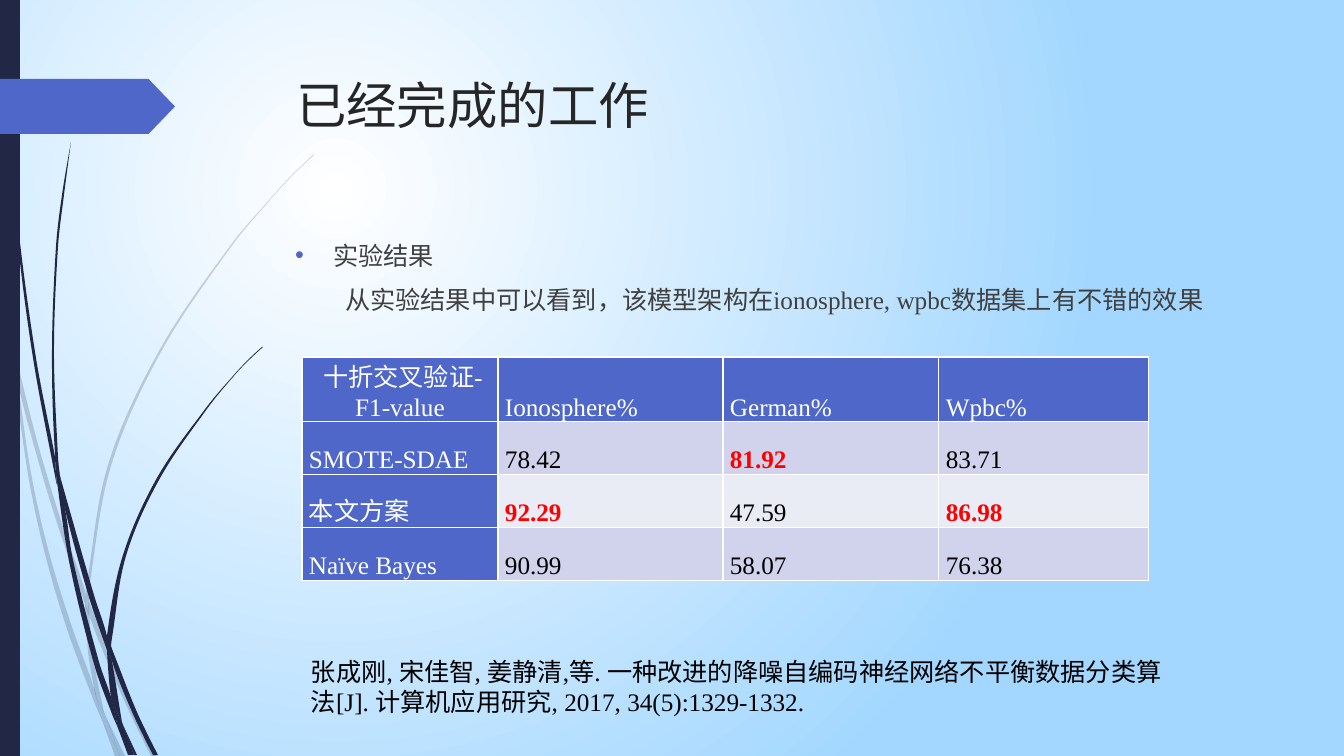
from math import hypot

from lxml.etree import SubElement
from pptx import Presentation
from pptx.dml.color import RGBColor
from pptx.enum.shapes import MSO_SHAPE as Shape
from pptx.enum.text import MSO_ANCHOR as Anchor, MSO_AUTO_SIZE as AutoSize, PP_ALIGN as Align
from pptx.oxml.ns import qn
from pptx.util import Pt

WIDTH, HEIGHT = 1344, 756
SCALE = 12192000 / WIDTH
FONT = "Times New Roman"

WHITE = RGBColor(0xFF, 0xFF, 0xFF)
BLACK = RGBColor(0x00, 0x00, 0x00)
RED = RGBColor(0xFF, 0x00, 0x00)
SKY = RGBColor(0xA3, 0xD7, 0xFF)
NAVY = RGBColor(0x21, 0x27, 0x45)
BLUE = RGBColor(0x4E, 0x67, 0xC8)
TITLE_GREY = RGBColor(0x26, 0x26, 0x26)
BODY_GREY = RGBColor(0x40, 0x40, 0x40)
BANDS = [RGBColor(0xD0, 0xD3, 0xEB), RGBColor(0xE9, 0xEB, 0xF5)]

# Outlines of the grass blades, piece by piece.
PALE_BLADES = [
    [(11, 353), (9, 325), (0, 284), (0, 301), (10, 347)],
    [(58, 526), (85, 604), (85, 591), (62, 524), (36, 437), (14, 348), (17, 379), (36, 453)],
    [(93, 612), (89, 601), (89, 615), (124, 700), (151, 756), (156, 756), (128, 698)],
    [(120, 756), (125, 756), (106, 717)],
    [(94, 688), (71, 624), (48, 549), (31, 473), (17, 379), (11, 353), (28, 474), (44, 550),
     (66, 626), (93, 699), (102, 720), (100, 713)],
    [(85, 604), (88, 651), (94, 688), (97, 698), (106, 717), (104, 712), (92, 651), (89, 615)],
    [(89, 589), (111, 466), (161, 352), (231, 247), (270, 200), (292, 176), (314, 155),
     (314, 154), (291, 176), (270, 199), (230, 246), (159, 351), (108, 465), (86, 589),
     (86, 591), (89, 601)],
    [(102, 720), (115, 756), (120, 756)],
    [(89, 615), (89, 601), (86, 591), (85, 604)],
    [(97, 698), (94, 688), (100, 713), (102, 720), (120, 756), (106, 717)],
]
DARK_BLADES = [
    [(7, 111), (17, 235), (33, 358), (56, 481), (57, 485), (55, 461), (55, 457), (36, 358),
     (19, 234), (8, 110), (5, 48), (4, 0), (3, 0), (4, 48)],
    [(89, 597), (107, 650), (107, 636), (94, 595), (60, 476), (65, 509)],
    [(114, 654), (111, 646), (112, 661), (133, 714), (153, 755), (158, 755), (137, 712)],
    [(111, 697), (99, 662), (73, 560), (65, 509), (57, 481), (69, 561), (94, 664), (112, 714),
     (118, 728), (117, 723)],
    [(60, 476), (58, 457), (54, 352), (58, 247), (64, 195), (71, 142), (62, 195), (56, 247),
     (52, 352), (55, 453)],
    [(134, 755), (137, 755), (123, 725)],
    [(57, 481), (65, 509), (60, 476), (55, 453), (55, 457)],
    [(112, 638), (126, 556), (159, 480), (207, 409), (233, 377), (247, 362), (263, 347),
     (262, 347), (247, 361), (233, 376), (206, 408), (157, 478), (123, 555), (107, 636),
     (111, 646)],
    [(118, 728), (128, 755), (132, 755)],
    [(107, 650), (111, 697), (117, 712), (123, 725), (122, 722), (112, 661), (110, 656)],
    [(107, 650), (110, 656), (112, 661), (111, 646), (107, 636)],
    [(117, 712), (111, 697), (117, 723), (118, 728), (131, 755), (134, 755), (123, 725)],
]

COLUMNS = [196, 225, 216, 210]
ROWS = [64, 53, 53, 53]
RESULTS = [
    ["\u00a0十折交叉验证-F1-value", "Ionosphere%", "German%", "Wpbc%"],
    ["SMOTE-SDAE", "78.42", "81.92", "83.71"],
    ["本文方案", "92.29", "47.59", "86.98"],
    ["Naïve Bayes", "90.99", "58.07", "76.38"],
]
BEST = {"81.92", "92.29", "86.98"}


def emu(pixels):
    """Turn pixels into EMU."""
    return round(pixels * SCALE)


def place(item, *area):
    """Move and size a shape in pixels."""
    item.left, item.top, item.width, item.height = map(emu, area)


def paint(shape, color, opacity=100):
    """Give a shape a plain fill without line or shadow."""
    shape.shadow.inherit = False
    shape.line.fill.background()
    shape.fill.solid()
    shape.fill.fore_color.rgb = color
    if opacity < 100:
        tone = shape.element.spPr.find(".//" + qn("a:srgbClr"))
        SubElement(tone, qn("a:alpha"), val=str(opacity * 1000))


def add_span(para, text, size, color, bold=False):
    """Add one formatted run."""
    span = para.add_run()
    span.text = text
    span.font.name, span.font.size, span.font.bold = FONT, Pt(size), bold
    span.font.color.rgb = color


def paint_background(page):
    """Lay a radial gradient from white to sky blue."""
    fill = page.background.fill
    fill.gradient()
    for stop, (position, color) in zip(fill.gradient_stops, [(0, WHITE), (1, SKY)]):
        stop.position, stop.color.rgb = position, color
    gradient = page.element.find(".//" + qn("a:gradFill"))
    gradient.remove(gradient.find(qn("a:lin")))
    circle = SubElement(gradient, qn("a:path"), path="circle")
    SubElement(circle, qn("a:fillToRect"), l="50000", t="50000", r="100000", b="100000")


def unit(start, end):
    """Return the direction from start to end."""
    across, down = end[0] - start[0], end[1] - start[1]
    length = hypot(across, down)
    return across / length, down / length


def tangent(before, point, after):
    """Return the direction at a smooth point, or nothing at a corner."""
    arrive, leave = unit(before, point), unit(point, after)
    if arrive[0] * leave[0] + arrive[1] * leave[1] < 0.7:
        return 0, 0
    return unit(before, after)


def bend(outline):
    """Turn the straight sides of a closed outline into curves."""
    points = [(int(pt.get("x")), int(pt.get("y"))) for pt in outline.iter(qn("a:pt"))]
    for side in outline.findall(qn("a:lnTo")) + outline.findall(qn("a:close")):
        outline.remove(side)
    count = len(points)
    slopes = [tangent(points[i - 1], points[i], points[(i + 1) % count]) for i in range(count)]
    for i in range(count):
        j = (i + 1) % count
        (x, y), (u, v) = points[i], points[j]
        reach = hypot(u - x, v - y) / 3
        curve = SubElement(outline, qn("a:cubicBezTo"))
        for a, b in [(x + slopes[i][0] * reach, y + slopes[i][1] * reach),
                     (u - slopes[j][0] * reach, v - slopes[j][1] * reach), (u, v)]:
            SubElement(curve, qn("a:pt"), x=str(round(a)), y=str(round(b)))
    SubElement(outline, qn("a:close"))


def add_blade(page, points, opacity):
    """Draw one piece of a grass blade."""
    start, *others = [(emu(x), emu(y)) for x, y in points]
    builder = page.shapes.build_freeform(*start)
    builder.add_line_segments(others, close=True)
    blade = builder.convert_to_shape()
    bend(blade.element.spPr.find(".//" + qn("a:path")))
    paint(blade, NAVY, opacity)


def add_block(page, kind, *area):
    """Add a preset shape and return it."""
    return page.shapes.add_shape(kind, *map(emu, area))


def fill_title(title):
    """Place and write the title."""
    place(title, 286, 69, 983, 141)
    frame = title.text_frame
    frame.vertical_anchor, frame.auto_size = Anchor.TOP, AutoSize.NONE
    frame.paragraphs[0].alignment = Align.LEFT
    add_span(frame.paragraphs[0], "已经完成的工作", 36, TITLE_GREY)


def fill_body(body):
    """Write the bulleted heading and the indented remark."""
    place(body, 285, 235, 983, 416)
    frame = body.text_frame
    frame.auto_size = AutoSize.NONE
    lines = [("实验结果", 38, -38),
             ("从实验结果中可以看到，该模型架构在ionosphere, wpbc数据集上有不错的效果", 50, 0)]
    for index, (text, margin, indent) in enumerate(lines):
        para = frame.add_paragraph() if index else frame.paragraphs[0]
        para.space_before = Pt(10)
        layout = para._p.get_or_add_pPr()
        layout.set("marL", str(emu(margin)))
        layout.set("indent", str(emu(indent)))
        if indent:
            tone = SubElement(layout, qn("a:buClr"))
            SubElement(tone, qn("a:srgbClr"), val=str(BLUE))
            SubElement(layout, qn("a:buFont"), typeface="Arial")
            SubElement(layout, qn("a:buChar"), char="•")
        else:
            SubElement(layout, qn("a:buNone"))
        add_span(para, text, 18, BODY_GREY)


def fill_cell(cell, text, row, column):
    """Write and colour one result cell."""
    label = row == 0 or column == 0
    best = text in BEST
    cell.vertical_anchor = Anchor.BOTTOM
    cell.margin_left = cell.margin_right = emu(7)
    cell.margin_top = cell.margin_bottom = 0
    cell.fill.solid()
    cell.fill.fore_color.rgb = BLUE if label else BANDS[(row - 1) % 2]
    para = cell.text_frame.paragraphs[0]
    para.alignment = Align.CENTER if row == column == 0 else Align.JUSTIFY
    add_span(para, text, 18, WHITE if label else RED if best else BLACK, best)


def add_results(page):
    """Add the table of F1 values; its style draws the white grid."""
    area = map(emu, (302, 357, sum(COLUMNS), sum(ROWS)))
    table = page.shapes.add_table(len(ROWS), len(COLUMNS), *area).table
    table.first_col = True
    for column, width in zip(table.columns, COLUMNS):
        column.width = emu(width)
    for row, (height, texts) in enumerate(zip(ROWS, RESULTS)):
        table.rows[row].height = emu(height)
        for column, text in enumerate(texts):
            fill_cell(table.cell(row, column), text, row, column)


def add_reference(page):
    """Add the cited paper."""
    box = page.shapes.add_textbox(*map(emu, (301, 651, 872, 72)))
    box.text_frame.word_wrap = True
    add_span(box.text_frame.paragraphs[0],
             "张成刚, 宋佳智, 姜静清,等. 一种改进的降噪自编码神经网络不平衡数据分类算法[J]. "
             "计算机应用研究, 2017, 34(5):1329-1332.", 18, BLACK)


def main():
    """Build the slide and save it."""
    deck = Presentation()
    deck.slide_width, deck.slide_height = emu(WIDTH), emu(HEIGHT)
    page = deck.slides.add_slide(deck.slide_layouts[1])
    paint_background(page)
    for blades, opacity in [(PALE_BLADES, 20), (DARK_BLADES, 100)]:
        for points in blades:
            add_blade(page, points, opacity)
    paint(add_block(page, Shape.RECTANGLE, 0, 0, 20, HEIGHT), NAVY)
    arrow = add_block(page, Shape.PENTAGON, 0, 79, 175, 55)
    arrow.adjustments[0] = 0.48
    paint(arrow, BLUE)
    fill_title(page.shapes.title)
    fill_body(page.placeholders[1])
    add_results(page)
    add_reference(page)
    deck.save("out.pptx")


main()
